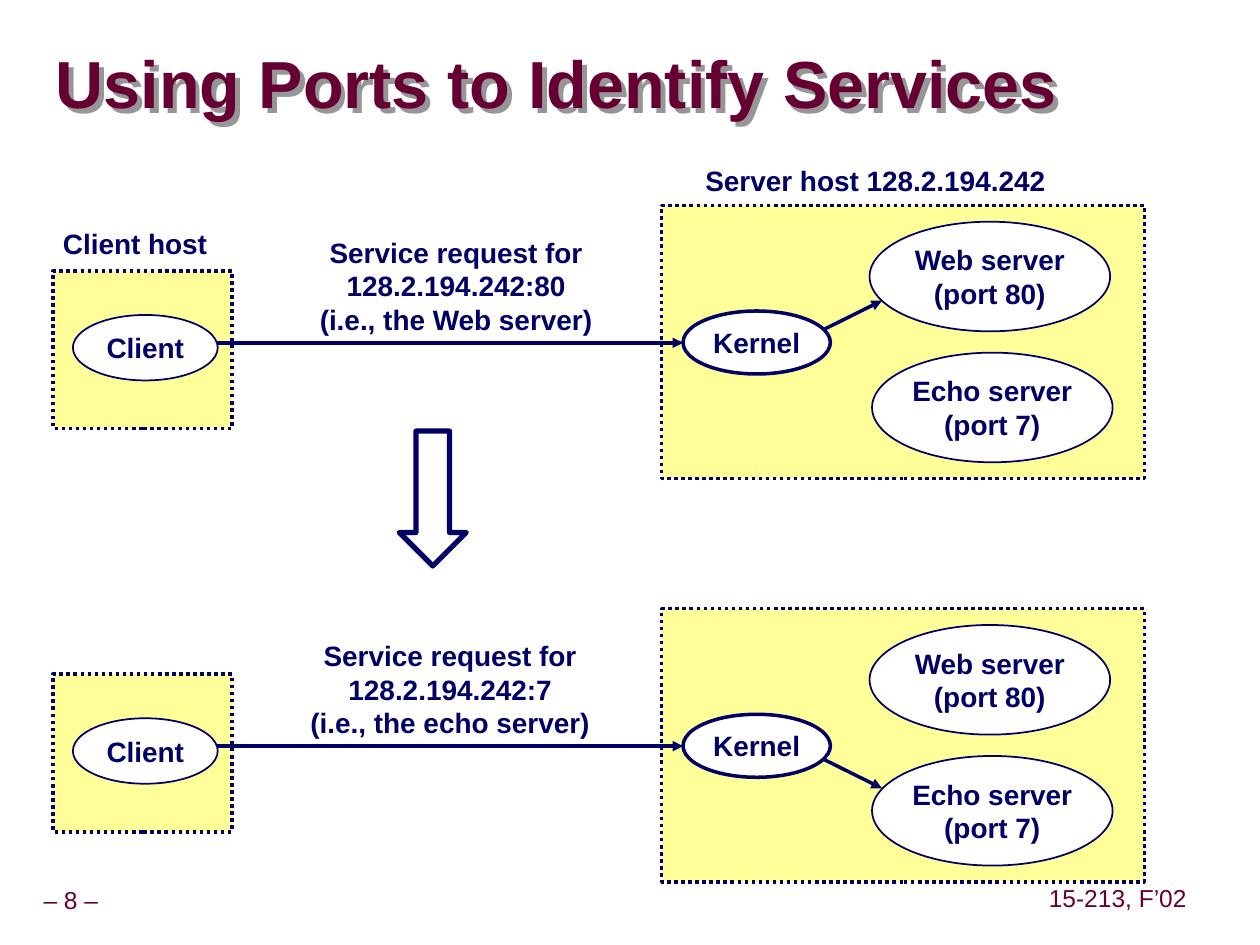
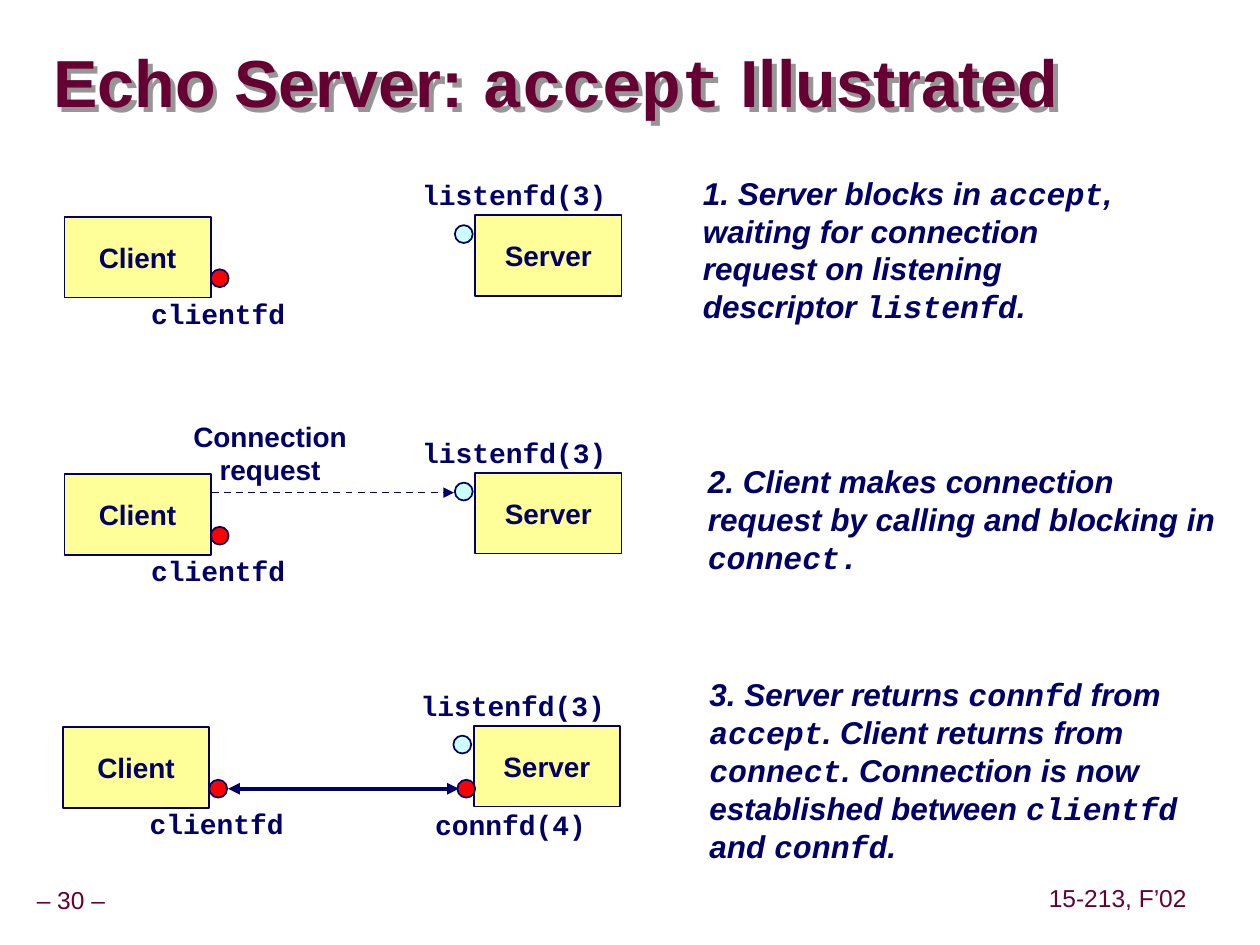
from lxml.etree import SubElement as Sub
from pptx import Presentation
from pptx.dml.color import RGBColor
from pptx.enum.dml import MSO_LINE as Dash
from pptx.enum.shapes import MSO_CONNECTOR as Link, MSO_SHAPE as Kind
from pptx.enum.text import MSO_ANCHOR as Anchor, MSO_AUTO_SIZE as Auto, PP_ALIGN as Align
from pptx.oxml.ns import qn
from pptx.util import Cm, Pt

NAVY, WINE, CREAM, WHITE = "000066", "660033", "FFFF99", "FFFFFF"
RED, AQUA, GREY = "FF0000", "CCFFFF", "969696"
SANS, MONO = "Arial", "Courier New"
LABEL = {"size": Pt(16), "bold": True}
NOTE = {"size": Pt(18), "bold": True, "italic": True}
TITLE = {"size": Pt(38), "bold": True}
FOOT = {"size": Pt(14), "bold": False}


def paint(color, value):
    """Set a colour format from a hex string."""
    color.rgb = RGBColor.from_string(value)


def apply(target, values):
    """Set each named attribute on the target."""
    for name, value in values.items():
        setattr(target, name, value)


def write(frame, text, font=LABEL, color=NAVY, align=Align.CENTER, wrap=False,
          anchor=Anchor.MIDDLE, space=1.0):
    """Fill a frame; lines become paragraphs and backticks switch to the code font."""
    apply(frame, {"word_wrap": wrap, "vertical_anchor": anchor, "auto_size": Auto.NONE})
    for i, line in enumerate(text.split("\n")):
        para = frame.add_paragraph() if i else frame.paragraphs[0]
        apply(para, {"alignment": align, "line_spacing": space})
        for j, part in enumerate(line.split("`")):
            if part:
                run = para.add_run()
                run.text = part
                apply(run.font, {**font, "name": MONO if j % 2 else SANS})
                paint(run.font.color, color)


def label(slide, text, box, **style):
    """Add a text box."""
    write(slide.shapes.add_textbox(*map(Cm, box)).text_frame, text, **style)


def block(slide, kind, box, fill=None, width=1.0, dash=None, text=""):
    """Add an outlined preset shape with optional fill and text."""
    shape = slide.shapes.add_shape(kind, *map(Cm, box))
    shape.shadow.inherit = False
    if fill:
        shape.fill.solid()
        paint(shape.fill.fore_color, fill)
    else:
        shape.fill.background()
    paint(shape.line.color, NAVY)
    apply(shape.line, {"width": Pt(width), "dash_style": dash})
    if text:
        write(shape.text_frame, text)
    return shape


def arrow(slide, ends, width=2.0, dash=None, tips=("tailEnd",)):
    """Add a straight connector with triangle tips."""
    line = slide.shapes.add_connector(Link.STRAIGHT, *map(Cm, ends))
    paint(line.line.color, NAVY)
    apply(line.line, {"width": Pt(width), "dash_style": dash})
    stroke = line.line._get_or_add_ln()
    for tip in tips:
        Sub(stroke, qn("a:" + tip), type="triangle")
    Sub(line._element.spPr, qn("a:effectLst"))


def base(deck, title, box, number):
    """Add a slide with its shadowed title and footers."""
    slide = deck.slides.add_slide(deck.slide_layouts[5])
    head = slide.shapes.title
    apply(head, dict(zip(("left", "top", "width", "height"), map(Cm, box))))
    apply(head.text_frame, dict.fromkeys(
        ("margin_left", "margin_top", "margin_right", "margin_bottom"), 0))
    write(head.text_frame, title, TITLE, WINE, Align.LEFT, True, space=0.87)
    head.fill.background()
    effects = Sub(head._element.spPr, qn("a:effectLst"))
    shade = Sub(effects, qn("a:outerShdw"), dist="50800", dir="2700000", algn="ctr", rotWithShape="0")
    Sub(shade, qn("a:srgbClr"), val=GREY)
    for text, place in ((f"– {number} –", (0, 17.78, 2.86, 0.79)),
                        ("15-213, F’02", (21.01, 17.75, 3.05, 0.79))):
        label(slide, text, place, font=FOOT, color=WINE, space=0.9)
    return slide


def request(slide, x, y, text, shift, slope):
    """Draw one client request reaching a server port."""
    mid = y + 2.77
    for box in ((x, y + 1.32, 3.61, 3.18), (x + 12.27, y, 9.73, 5.51)):
        block(slide, Kind.RECTANGLE, box, CREAM, 2, Dash.ROUND_DOT)
    for name, dx, dy in (("Web server\n(port 80)", 16.46, 0.33),
                         ("Echo server\n(port 7)", 16.51, 2.97)):
        block(slide, Kind.OVAL, (x + dx, y + dy, 4.85, 2.21), WHITE, text=name)
    label(slide, text, (x + shift, y + 0.48, 7.37, 2.29), wrap=True, anchor=Anchor.TOP)
    arrow(slide, (x + 3.17, mid, x + 12.7, mid))
    arrow(slide, (x + 15.44, mid + slope * 0.22, x + 16.71, mid + slope * 0.85))
    block(slide, Kind.OVAL, (x + 12.7, y + 2.13, 2.97, 1.27), WHITE, 2, text="Kernel")
    block(slide, Kind.OVAL, (x + 0.4, y + 2.21, 2.92, 1.32), WHITE, text="Client")


def ports(deck):
    """Build the slide on ports."""
    slide = base(deck, "Using Ports to Identify Services", (1.12, 0.69, 24.21, 2.16), 8)
    left, top, step = 1.07, 4.14, 8.13
    request(slide, left, top,
            "Service request for\n128.2.194.242:80\n(i.e., the Web server)", 4.44, -1)
    request(slide, left, top + step,
            "Service request for\n128.2.194.242:7\n(i.e., the echo server)", 4.32, 1)
    for text, box in (("Client host", (1.02, 4.45, 3.4, 0.94)),
                      ("Server host 128.2.194.242", (13.97, 3.18, 7.37, 0.94))):
        label(slide, text, box, align=Align.LEFT, anchor=Anchor.TOP)
    down = block(slide, Kind.DOWN_ARROW, (8.05, 8.69, 1.35, 2.72), width=3)
    down.adjustments[0] = down.adjustments[1] = 0.5


def pair(slide, x, y, note, box):
    """Draw a client and a server with their descriptors and a note."""
    for color, dx, dy in ((AQUA, 7.87, 0.2), (RED, 2.95, 1.09)):
        block(slide, Kind.OVAL, (x + dx, y + dy, 0.36, 0.36), color)
    for name, dx, dy in (("Client", 0, 0.03), ("Server", 8.28, 0)):
        block(slide, Kind.RECTANGLE, (x + dx, y + dy, 2.95, 1.63), CREAM, text=name)
    for name, dx, dy, width in (("`listenfd(3)`", 6.96, -0.89, 4.22),
                                ("`clientfd`", 1.5, 1.5, 3.2)):
        label(slide, name, (x + dx, y + dy, width, 0.94))
    label(slide, note, box, font=NOTE, align=Align.LEFT, wrap=True)


def ask(slide, x, y):
    """Add the pending connection request."""
    arrow(slide, (x + 2.97, y + 0.4, x + 7.85, y + 0.4), 1, Dash.DASH)
    label(slide, "Connection\nrequest", (x + 2.34, y - 1.22, 3.61, 1.63))


def join(slide, x, y):
    """Add the open connection and its descriptor."""
    block(slide, Kind.OVAL, (x + 7.95, y + 1.09, 0.36, 0.36), RED)
    label(slide, "`connfd(4)`", (x + 7.26, y + 1.52, 3.53, 0.94))
    arrow(slide, (x + 3.33, y + 1.27, x + 7.98, y + 1.27), 2.25, tips=("headEnd", "tailEnd"))


def accept(deck):
    """Build the slide on accept."""
    slide = base(deck, "Echo Server: `accept` Illustrated", (1.07, 0.94, 23.29, 1.6), 30)
    steps = (
        (1.3, 4.34, "1. Server blocks in `accept`, waiting for connection request on "
         "listening descriptor `listenfd`.", (13.92, 3.38, 9.14, 3.3), None),
        (1.3, 9.53, "2. Client makes connection request by calling and blocking in "
         "`connect.`", (14.02, 9.19, 10.76, 2.54), ask),
        (1.27, 14.63, "3. Server returns `connfd` from `accept`. Client returns from "
         "`connect`. Connection is now established between `clientfd` and `connfd`.",
         (14.05, 13.49, 11.15, 4.06), join))
    for x, y, note, box, extra in steps:
        pair(slide, x, y, note, box)
        if extra:
            extra(slide, x, y)


def main():
    """Build and save the deck."""
    deck = Presentation()
    apply(deck, {"slide_width": Cm(25.4), "slide_height": Cm(19.05)})
    ports(deck)
    accept(deck)
    deck.save("out.pptx")


if __name__ == "__main__":
    main()
